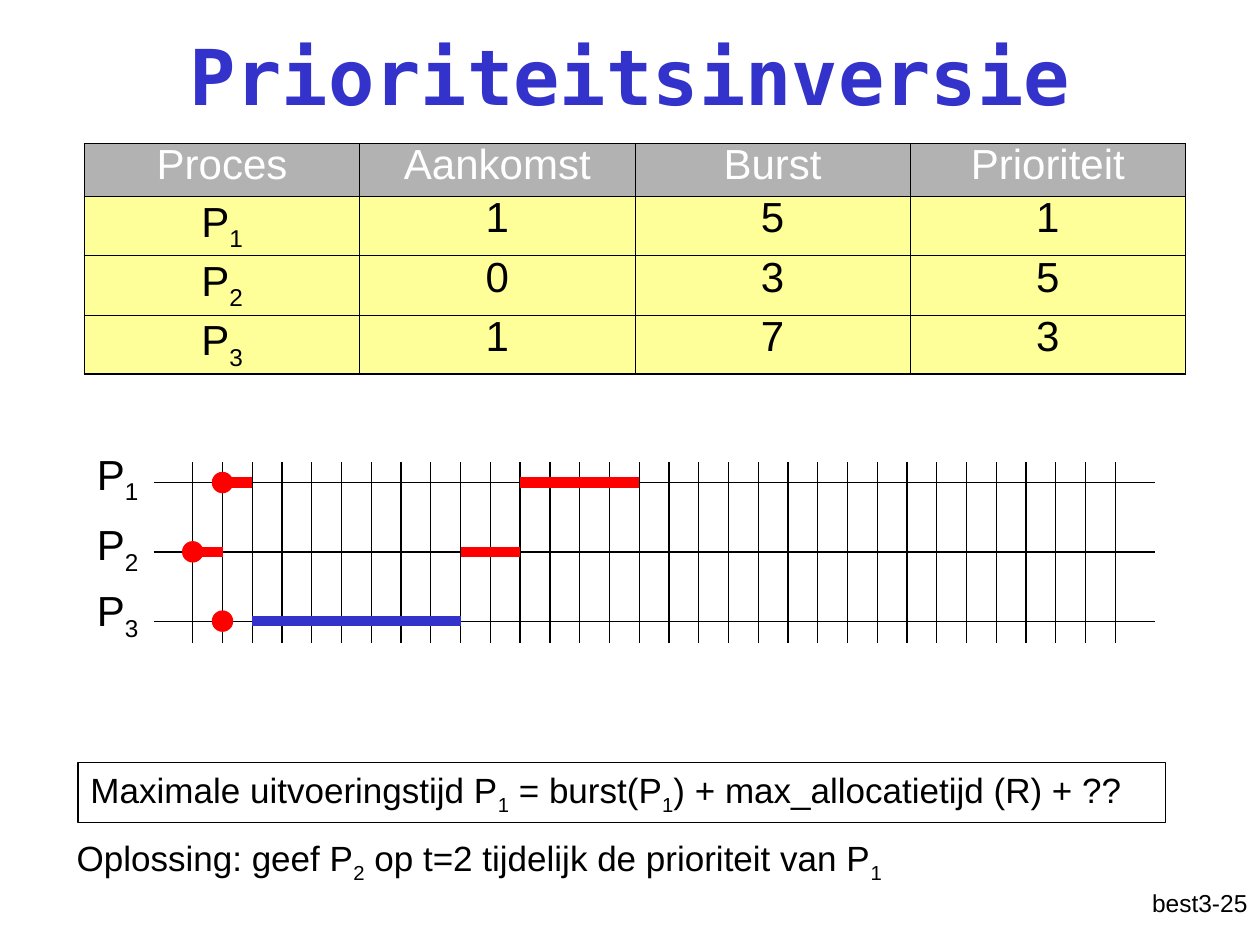
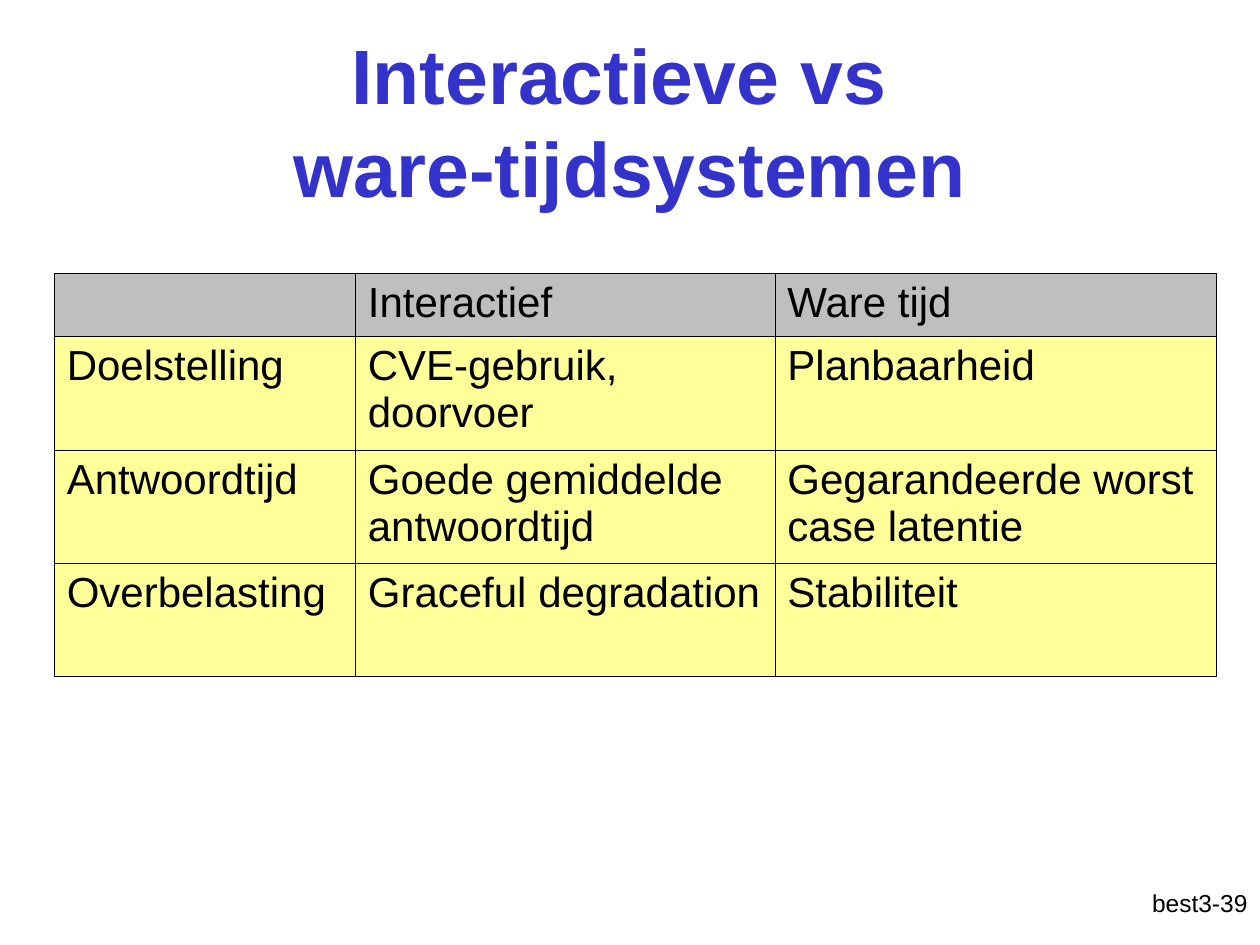
from lxml import etree
from pptx import Presentation
from pptx.dml.color import RGBColor
from pptx.enum.shapes import MSO_CONNECTOR, MSO_SHAPE
from pptx.enum.text import MSO_ANCHOR, MSO_AUTO_SIZE, PP_ALIGN
from pptx.oxml import parse_xml
from pptx.oxml.ns import nsdecls, qn
from pptx.util import Inches, Pt

LEFT, MID, RIGHT = PP_ALIGN.LEFT, PP_ALIGN.CENTER, PP_ALIGN.RIGHT
TOP, CENTER = MSO_ANCHOR.TOP, MSO_ANCHOR.MIDDLE
FIXED = MSO_AUTO_SIZE.NONE
STRAIGHT = MSO_CONNECTOR.STRAIGHT
OVAL, RECT = MSO_SHAPE.OVAL, MSO_SHAPE.RECTANGLE

BLACK, WHITE, BLUE, RED = "000000", "FFFFFF", "3333CC", "FF0000"
YELLOW = "FFFF99"
SANS, MONO = "Arial", "DejaVu Sans Mono"
rgb = RGBColor.from_string


def write(frame, text, size, color=BLACK, align=LEFT, font=SANS,
          bold=False, space=1.0):
    """Fill a frame; text between tildes becomes subscript."""
    frame.word_wrap = True
    frame.text = text
    for para in frame.paragraphs:
        parts = para.text.split("~")
        if len(parts) > 1:
            para.clear()
            for i, part in enumerate(parts):
                if part:
                    run = para.add_run()
                    run.text = part
                    if i % 2:
                        run._r.get_or_add_rPr().set("baseline", "-25000")
        para.alignment = align
        para.line_spacing = space
        para.font.name = font
        para.font.size = Pt(size)
        para.font.bold = bold
        para.font.color.rgb = rgb(color)


def rule(shapes, x1, y1, x2, y2, color=BLACK, width=0.75):
    """Draw a straight line without a shadow."""
    line = shapes.add_connector(
        STRAIGHT, Inches(x1), Inches(y1), Inches(x2), Inches(y2))
    line.line.color.rgb = rgb(color)
    line.line.width = Pt(width)
    etree.SubElement(line._element.spPr, qn("a:effectLst"))


pages = [
    dict(title="Prioriteitsinversie", font=MONO, top=-0.03, foot="best3-25",
         at=(0.67, 1.14), cols=[2.185] * 4, rows=[0.42] + [0.47] * 3,
         head=("B2B2B2", WHITE), align=MID, space=0.8, edge=1.08,
         cells=[["Proces", "Aankomst", "Burst", "Prioriteit"],
                ["P~1~", "1", "5", "1"],
                ["P~2~", "0", "3", "5"],
                ["P~3~", "1", "7", "3"]]),
    dict(title="Interactieve vs \vware-tijdsystemen", font=SANS, top=0.33,
         foot="best3-39",
         at=(0.43, 2.17), cols=[2.39, 3.33, 3.5], rows=[0.5] + [0.9] * 3,
         head=("BFBFBF", BLACK), align=LEFT, space=1.0, edge=0.45,
         cells=[["", "Interactief", "Ware tijd"],
                ["Doelstelling", "CVE-gebruik,\ndoorvoer", "Planbaarheid"],
                ["Antwoordtijd", "Goede gemiddelde antwoordtijd",
                 "Gegarandeerde worst case latentie"],
                ["Overbelasting", "Graceful degradation", "Stabiliteit"]]),
]

prs = Presentation()
prs.slide_width, prs.slide_height = Inches(10), Inches(7.5)

# Title, footer and table of each slide
for page in pages:
    slide = prs.slides.add_slide(prs.slide_layouts[5])
    title = slide.shapes.title
    title.left, title.top = Inches(0.75), Inches(page["top"])
    title.width, title.height = Inches(8.5), Inches(1.25)
    write(title.text_frame, page["title"], 44, BLUE, MID, page["font"], True)
    title.text_frame.auto_size = FIXED
    title.text_frame.vertical_anchor = CENTER

    foot = slide.shapes.add_textbox(
        Inches(7.92), Inches(7), Inches(2.08), Inches(0.5))
    write(foot.text_frame, page["foot"], 14, align=RIGHT)

    cols, rows = page["cols"], page["rows"]
    x, y = page["at"]
    table = slide.shapes.add_table(
        len(rows), len(cols), Inches(x), Inches(y),
        Inches(sum(cols)), Inches(sum(rows))).table
    table.first_row = table.horz_banding = False
    for col, width in zip(table.columns, cols):
        col.width = Inches(width)
    for row, height in zip(table.rows, rows):
        row.height = Inches(height)

    for r, texts in enumerate(page["cells"]):
        fill, color = (YELLOW, BLACK) if r else page["head"]
        for c, text in enumerate(texts):
            cell = table.cell(r, c)
            cell.fill.solid()
            cell.fill.fore_color.rgb = rgb(fill)
            write(cell.text_frame, text, 24, color, page["align"],
                  space=page["space"])
            # Outer borders may be heavier than inner ones
            outer = {"L": c == 0, "R": c == len(cols) - 1,
                     "T": r == 0, "B": r == len(rows) - 1}
            props = cell._tc.get_or_add_tcPr()
            for i, (side, out) in enumerate(outer.items()):
                width = Pt(page["edge"] if out else 0.45)
                props.insert(i, parse_xml(
                    f'<a:ln{side} {nsdecls("a")} w="{width}"><a:solidFill>'
                    f'<a:srgbClr val="{BLACK}"/></a:solidFill></a:ln{side}>'))

# Timeline: one lane per process, one grid line per time unit
shapes = prs.slides[0].shapes
start, step = 1.53, 0.2362
lanes = [3.83, 4.38, 4.93]
for n, (lane, top) in enumerate(zip(lanes, [3.51, 4.07, 4.59]), 1):
    rule(shapes, 1.22, lane, 9.17, lane)
    label = shapes.add_textbox(
        Inches(0.67), Inches(top), Inches(0.63), Inches(0.56))
    write(label.text_frame, f"P~{n}~", 24)

grid = shapes.add_group_shape().shapes
for t in range(32):
    x = start + t * step
    rule(grid, x, 3.67, x, 5.1)

# Arrival dots: lane, time
size = 0.16
for lane, t in [(0, 1), (2, 1), (1, 0)]:
    dot = shapes.add_shape(
        OVAL, Inches(start + t * step - size / 2),
        Inches(lanes[lane] - size / 2), Inches(size), Inches(size))
    dot.shadow.inherit = False
    dot.fill.solid()
    dot.fill.fore_color.rgb = rgb(RED)
    dot.line.color.rgb = rgb(RED)
    dot.line.width = Pt(0.75)

# Running periods: lane, begin, end, colour
for lane, t1, t2, color in [(1, 0, 1, RED), (2, 2, 9, BLUE), (1, 9, 11, RED),
                            (0, 11, 15, RED), (0, 1, 2, RED)]:
    rule(shapes, start + t1 * step, lanes[lane],
         start + t2 * step, lanes[lane], color, 6)

# Solution and boxed formula
hint = shapes.add_textbox(
    Inches(0.51), Inches(6.59), Inches(8.66), Inches(0.48))
write(hint.text_frame,
      "Oplossing: geef P~2~ op t=2 tijdelijk de prioriteit van P~1~", 20)

box = shapes.add_shape(
    RECT, Inches(0.62), Inches(6.05), Inches(8.63), Inches(0.48))
box.shadow.inherit = False
box.fill.background()
box.line.color.rgb = rgb(BLACK)
box.line.width = Pt(0.75)
box.text_frame.vertical_anchor = TOP
write(box.text_frame, "Maximale uitvoeringstijd P~1~ = burst(P~1~)"
      " + max_allocatietijd (R) + ??", 20)

prs.save("out.pptx")
